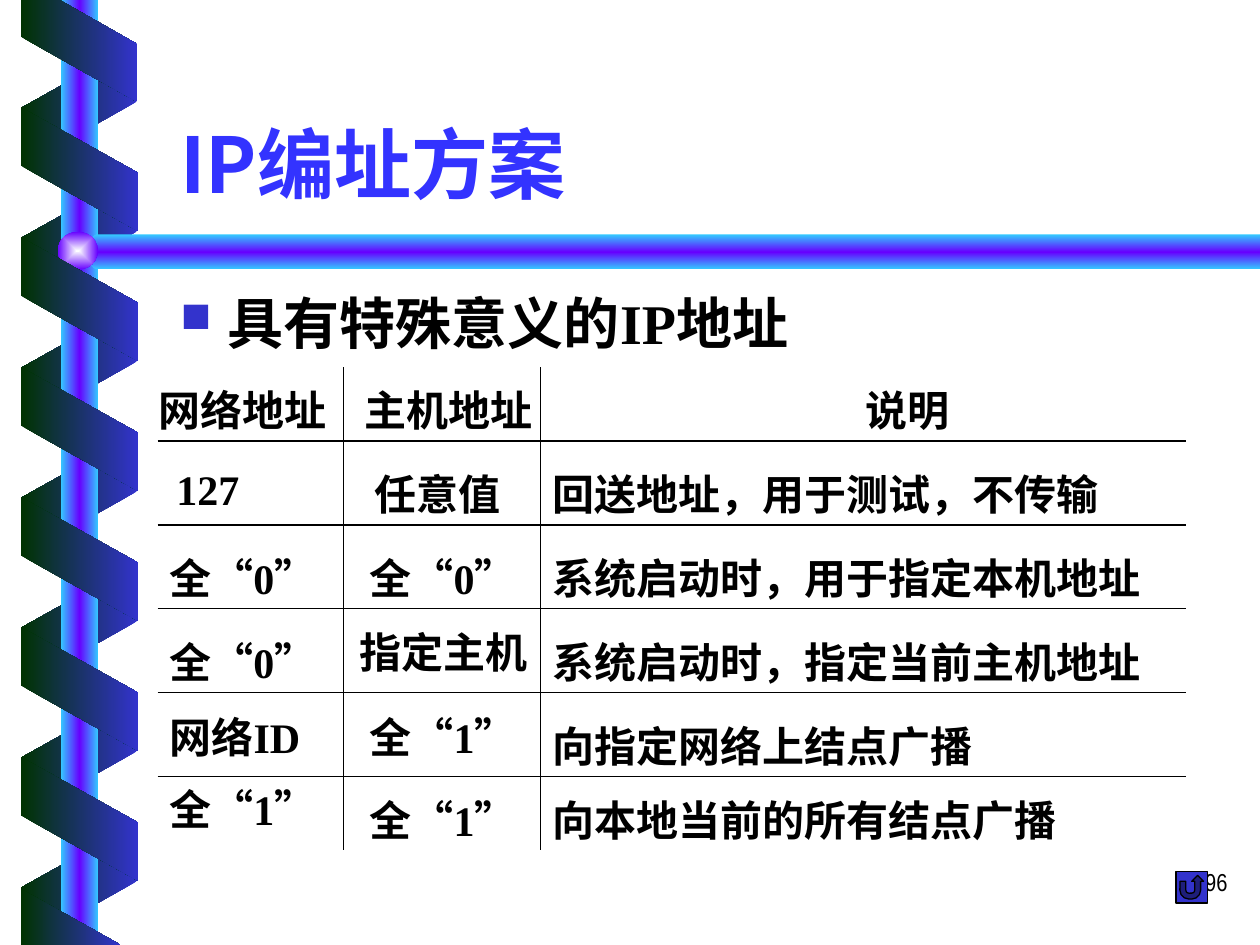
"""Build the slide on IP addresses with a special meaning."""
from dataclasses import dataclass

from lxml import etree
from pptx import Presentation
from pptx.dml.color import RGBColor
from pptx.enum.shapes import MSO_SHAPE
from pptx.enum.text import MSO_ANCHOR, PP_ALIGN
from pptx.oxml.ns import qn
from pptx.util import Pt

PARALLELOGRAM = MSO_SHAPE.PARALLELOGRAM
RECTANGLE = MSO_SHAPE.RECTANGLE
OVAL = MSO_SHAPE.OVAL
RETURN_BUTTON = MSO_SHAPE.ACTION_BUTTON_RETURN
TOP, BOTTOM = MSO_ANCHOR.TOP, MSO_ANCHOR.BOTTOM
LEFT, CENTER, RIGHT = PP_ALIGN.LEFT, PP_ALIGN.CENTER, PP_ALIGN.RIGHT


@dataclass(frozen=True)
class Theme:
    """Colours, fonts and type sizes."""
    ink: str = "000000"
    title: str = "3333FF"
    blue: str = "3333CC"
    green: str = "003300"
    sky: str = "33CCFF"
    violet: str = "6600FF"
    glow: str = "FEFFFF"
    serif: str = "Times New Roman"
    sans: str = "Noto Sans CJK SC"
    narrow: str = "Arial Narrow"
    title_size: int = 44
    body_size: int = 32
    cell_size: int = 24
    number_size: int = 14


THEME = Theme()
TITLE = "IP编址方案"
SUBTITLE = "具有特殊意义的IP地址"
PAGE_NUMBER = "96"

# Each cell: text, sideways shift from the column centre, top margin.
ROWS = [
    [("网络地址", -4.5, 6), ("主机地址", 3.5, 6), ("说明", 25, 6)],
    [("127", -24.5, 15.5), ("任意值", -2.5, 12), ("回送地址，用于测试，不传输", 0, 12)],
    [("全“0”", -4.5, 12), ("全“0”", 0.5, 12), ("系统启动时，用于指定本机地址", 0, 12)],
    [("全“0”", -4.5, 12), ("指定主机", 0.5, 6), ("系统启动时，指定当前主机地址", 0, 12)],
    [("网络ID", -9, 7), ("全“1”", 0.5, 7), ("向指定网络上结点广播", 0, 12)],
    [("全“1”", -4.5, 0), ("全“1”", 0.5, 6), ("向本地当前的所有结点广播", 0, 6)],
]
TABLE_LEFT, TABLE_TOP = 90, 210
COLUMN_WIDTHS = [106.5, 112.5, 369]
ROW_HEIGHTS = [42, 48, 48, 48, 48, 42]
DESCRIPTION_INDENT = 6.5

RIBBON_LEFT, RIBBON_STEP = 10.1, 74.25
BACK_TOP, BACK_COUNT = 26.5, 7
FRONT_TOP, FRONT_COUNT = 63.4, 6
RIBBON_LENGTH, RIBBON_BREADTH, RIBBON_SLANT = 70.5, 66.5, 0.56
RIBBON_START = [(12.2, 0), (12.2, 20.9), (78.5, 58.3), (78.5, 25.2), (33.8, 0)]
RIBBON_END = [(69.1, 539.5), (12.2, 507.6), (11.8, 540)]
BAR = [(720, 134), (54.7, 134), (43.2, 144), (54.7, 154), (720, 154)]


def gradient(shape, colors, angle=0, centered=False):
    shape.shadow.inherit = False
    shape.line.fill.background()
    shape.fill.gradient()
    fill = shape._element.spPr.find(qn("a:gradFill"))
    fill.set("rotWithShape", "0")
    for child in list(fill):
        fill.remove(child)
    stops = etree.SubElement(fill, qn("a:gsLst"))
    for index, color in enumerate(colors):
        position = 100000 * index // (len(colors) - 1)
        stop = etree.SubElement(stops, qn("a:gs"), pos=str(position))
        etree.SubElement(stop, qn("a:srgbClr"), val=color)
    if centered:
        focus = etree.SubElement(fill, qn("a:path"), path="rect")
        etree.SubElement(focus, qn("a:fillToRect"), l="50000", t="50000", r="50000", b="50000")
    else:
        etree.SubElement(fill, qn("a:lin"), ang=str(angle * 60000), scaled="0")


def add_preset(slide, preset, left, top, width, height):
    return slide.shapes.add_shape(preset, Pt(left), Pt(top), Pt(width), Pt(height))


def add_outline(slide, points):
    builder = slide.shapes.build_freeform(*points[0], scale=Pt(1))
    builder.add_line_segments(points[1:], close=True)
    return builder.convert_to_shape()


def add_ribbons(slide, first_top, count, rotation, colors, flipped):
    for index in range(count):
        ribbon = add_preset(slide, PARALLELOGRAM, RIBBON_LEFT, first_top + index * RIBBON_STEP,
                            RIBBON_LENGTH, RIBBON_BREADTH)
        ribbon.adjustments[0] = RIBBON_SLANT
        ribbon.rotation = rotation
        if flipped:
            ribbon._element.spPr.find(qn("a:xfrm")).set("flipH", "1")
        gradient(ribbon, colors)


def add_decoration(slide):
    dark_to_blue = [THEME.green, THEME.blue]
    tube = [THEME.sky, THEME.violet, THEME.sky]
    add_ribbons(slide, BACK_TOP, BACK_COUNT, 90, dark_to_blue[::-1], True)
    gradient(add_preset(slide, RECTANGLE, 34.7, 0, 21.6, 540), tube)
    gradient(add_outline(slide, BAR), tube, angle=90)
    gradient(add_preset(slide, OVAL, 33, 132.5, 23, 21.6), [THEME.glow, THEME.violet], centered=True)
    add_ribbons(slide, FRONT_TOP, FRONT_COUNT, 270, dark_to_blue, False)
    for points in (RIBBON_START, RIBBON_END):
        gradient(add_outline(slide, points), dark_to_blue)


def write(paragraph, text, size, font=THEME.serif, color=THEME.ink, bold=True, align=LEFT):
    paragraph.alignment = align
    run = paragraph.add_run()
    run.text = text
    run.font.size = Pt(size)
    run.font.bold = bold
    run.font.name = font
    run.font.color.rgb = RGBColor.from_string(color)
    etree.SubElement(run._r.get_or_add_rPr(), qn("a:ea"), typeface=THEME.sans)


def add_text_box(slide, left, top, width, height, anchor=TOP):
    frame = slide.shapes.add_textbox(Pt(left), Pt(top), Pt(width), Pt(height)).text_frame
    frame.word_wrap = True
    frame.vertical_anchor = anchor
    return frame.paragraphs[0]


def add_bullet(paragraph):
    properties = paragraph._p.get_or_add_pPr()
    properties.set("marL", str(Pt(27)))
    properties.set("indent", str(-Pt(27)))
    color = etree.SubElement(properties, qn("a:buClr"))
    etree.SubElement(color, qn("a:srgbClr"), val=THEME.blue)
    etree.SubElement(properties, qn("a:buSzPct"), val="75000")
    etree.SubElement(properties, qn("a:buChar"), char="■")


def set_borders(cell, ruled):
    properties = cell._tc.get_or_add_tcPr()
    for index, side in enumerate(("lnL", "lnR", "lnT", "lnB")):
        border = etree.Element(qn(f"a:{side}"), w=str(Pt(0.75)))
        if side in ruled:
            fill = etree.SubElement(border, qn("a:solidFill"))
            etree.SubElement(fill, qn("a:srgbClr"), val=THEME.ink)
        else:
            etree.SubElement(border, qn("a:noFill"))
        properties.insert(index, border)


def add_address_table(slide):
    last_row, last_column = len(ROWS) - 1, len(COLUMN_WIDTHS) - 1
    table = slide.shapes.add_table(len(ROWS), len(COLUMN_WIDTHS), Pt(TABLE_LEFT), Pt(TABLE_TOP),
                                   Pt(sum(COLUMN_WIDTHS)), Pt(sum(ROW_HEIGHTS))).table
    table.first_row = table.horz_banding = False
    for column, width in zip(table.columns, COLUMN_WIDTHS):
        column.width = Pt(width)
    for r, (cells, height) in enumerate(zip(ROWS, ROW_HEIGHTS)):
        table.rows[r].height = Pt(height)
        for c, (text, shift, top) in enumerate(cells):
            described = r > 0 and c == last_column
            cell = table.cell(r, c)
            cell.fill.background()
            cell.vertical_anchor = TOP
            cell.margin_left = Pt(DESCRIPTION_INDENT if described else max(0, 2 * shift))
            cell.margin_right = Pt(max(0, -2 * shift))
            cell.margin_top, cell.margin_bottom = Pt(top), Pt(0)
            edges = {"lnL": c > 0, "lnR": c < last_column, "lnT": r > 0, "lnB": r < last_row}
            set_borders(cell, [side for side, inner in edges.items() if inner])
            write(cell.text_frame.paragraphs[0], text, THEME.cell_size,
                  align=LEFT if described else CENTER)


def main():
    deck = Presentation()
    deck.slide_width, deck.slide_height = Pt(720), Pt(540)
    slide = deck.slides.add_slide(deck.slide_layouts[6])
    add_decoration(slide)
    write(add_text_box(slide, 558.7, 491.8, 149.8, 36), PAGE_NUMBER, THEME.number_size,
          THEME.narrow, bold=False, align=RIGHT)
    write(add_text_box(slide, 96, 33, 612, 90, BOTTOM), TITLE, THEME.title_size,
          THEME.sans, THEME.title)
    subtitle = add_text_box(slide, 96, 161.3, 612, 54)
    add_bullet(subtitle)
    write(subtitle, SUBTITLE, THEME.body_size)
    button = add_preset(slide, RETURN_BUTTON, 672, 498, 18, 18)
    button.shadow.inherit = False
    button.fill.solid()
    button.fill.fore_color.rgb = RGBColor.from_string(THEME.blue)
    button.line.color.rgb = RGBColor.from_string(THEME.ink)
    button.line.width = Pt(0.75)
    add_address_table(slide)
    deck.save("out.pptx")


if __name__ == "__main__":
    main()
